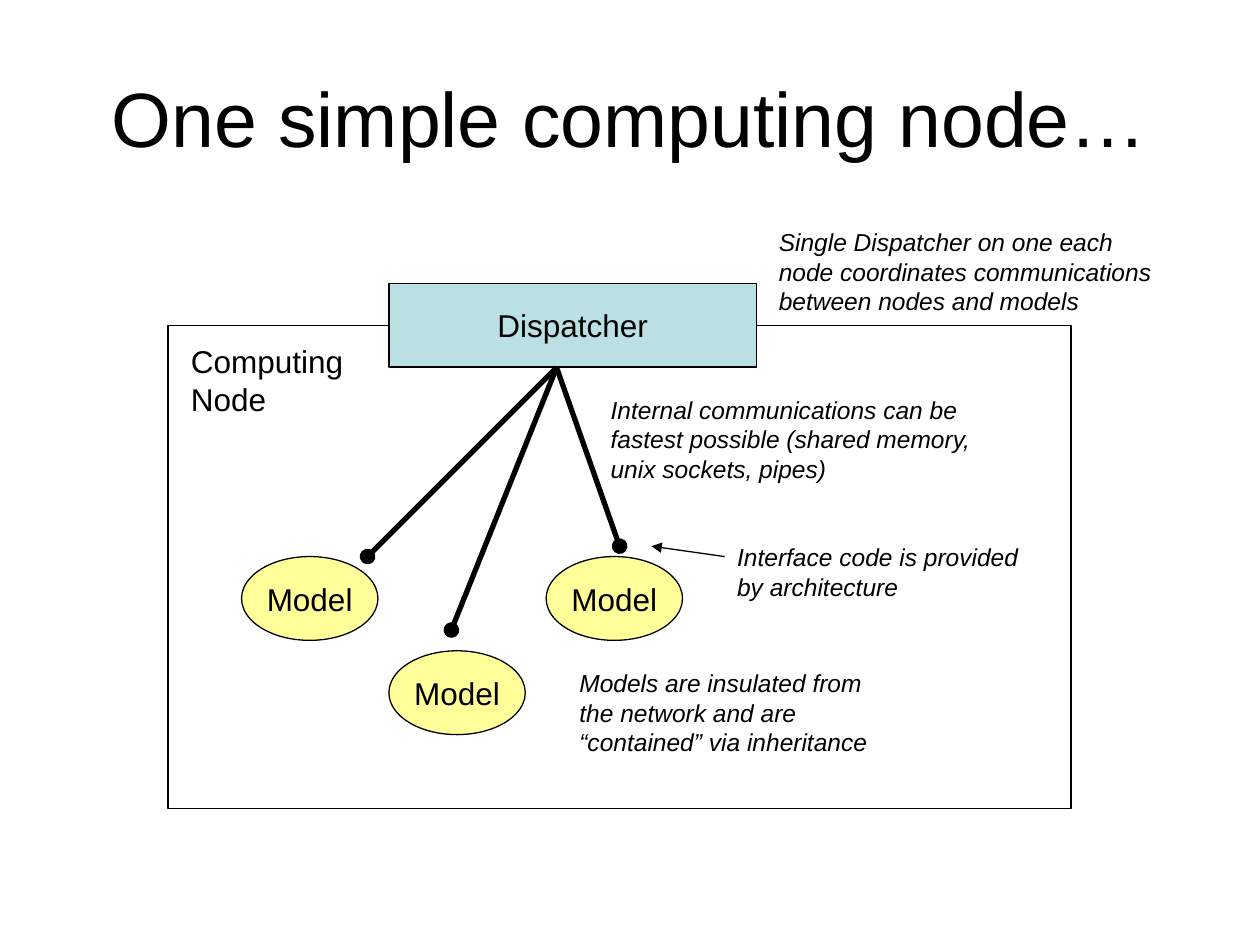
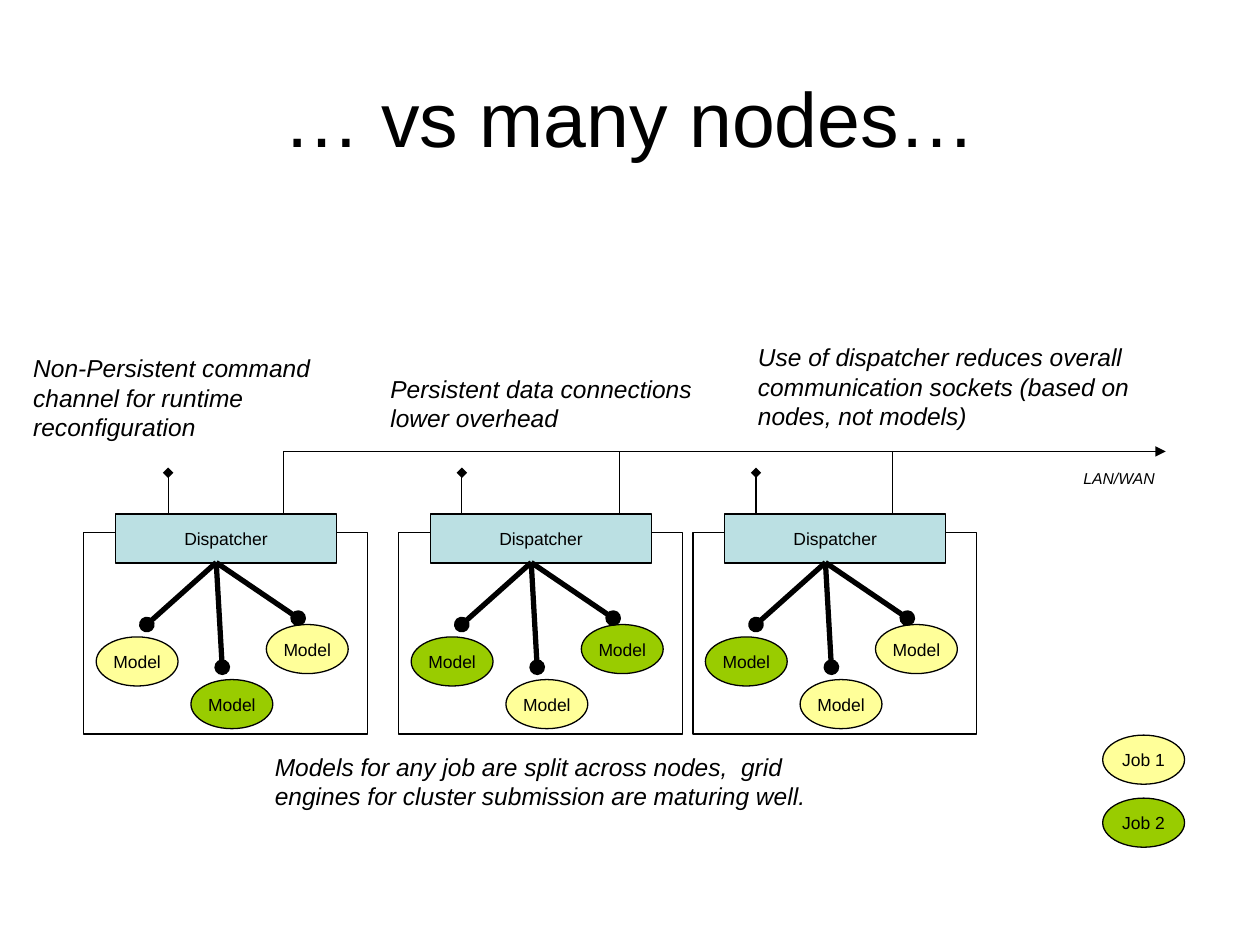
from dataclasses import dataclass

from lxml import etree
from pptx import Presentation
from pptx.dml.color import RGBColor
from pptx.enum.shapes import MSO_CONNECTOR, MSO_SHAPE
from pptx.enum.text import MSO_ANCHOR, MSO_AUTO_SIZE, PP_ALIGN
from pptx.oxml.ns import qn
from pptx.util import Cm, Pt

RECT, OVAL = MSO_SHAPE.RECTANGLE, MSO_SHAPE.OVAL
STRAIGHT = MSO_CONNECTOR.STRAIGHT
LEFT, CENTER = PP_ALIGN.LEFT, PP_ALIGN.CENTER
MIDDLE, TOP = MSO_ANCHOR.MIDDLE, MSO_ANCHOR.TOP
FIT_SHAPE, NO_FIT = MSO_AUTO_SIZE.SHAPE_TO_FIT_TEXT, MSO_AUTO_SIZE.NONE

FONT = "Arial"
INK, PAPER = "000000", "FFFFFF"
DISPATCHER_FILL = "BBE0E3"
JOB_1, JOB_2 = "FFFF99", "99CC00"
TITLE_ONLY = 5
THIN, THICK = 0.75, 3


@dataclass
class NodeLayout:
    """Lengths in cm; places are offsets from the node frame's top left corner."""
    frame: tuple
    dispatcher_at: tuple
    dispatcher: tuple
    hub: tuple
    model: tuple
    models_at: tuple
    links_to: tuple
    text_size: int


LARGE_NODE = NodeLayout(
    frame=(18.2, 9.74),
    dispatcher_at=(4.45, -0.85), dispatcher=(7.41, 1.69), hub=(7.83, 0.85),
    model=(2.75, 1.69),
    models_at=((1.48, 4.66), (4.45, 6.56), (7.62, 4.66)),
    links_to=((4.02, 4.66), (5.71, 6.14), (9.1, 4.45)),
    text_size=18)

SMALL_NODE = NodeLayout(
    frame=(5.72, 4.07),
    dispatcher_at=(0.64, -0.37), dispatcher=(4.45, 0.99), hub=(2.67, 0.61),
    model=(1.65, 0.99),
    models_at=((0.25, 2.11), (2.16, 2.97), (3.68, 1.86)),
    links_to=((1.27, 1.86), (2.79, 2.72), (4.32, 1.73)),
    text_size=10)


def color(hex_code):
    return RGBColor.from_string(hex_code)


def write(frame, text, size, align=LEFT, anchor=TOP, wrap=True, italic=False):
    frame.word_wrap = wrap
    frame.vertical_anchor = anchor
    frame.margin_left = frame.margin_right = Cm(0.25)
    frame.margin_top = frame.margin_bottom = Cm(0.13)
    for number, line in enumerate(text.split("\n")):
        paragraph = frame.add_paragraph() if number else frame.paragraphs[0]
        paragraph.alignment = align
        run = paragraph.add_run()
        run.text = line
        run.font.name = FONT
        run.font.size = Pt(size)
        run.font.italic = italic
        run.font.color.rgb = color(INK)


def add_titled_slide(deck, title):
    slide = deck.slides.add_slide(deck.slide_layouts[TITLE_ONLY])
    heading = slide.shapes.title
    heading.left, heading.top = Cm(1.27), Cm(0.76)
    heading.width, heading.height = Cm(22.86), Cm(3.18)
    write(heading.text_frame, title, 44, CENTER, MIDDLE)
    heading.text_frame.auto_size = NO_FIT
    return slide


def add_box(shapes, kind, at, size, fill, label="", text_size=10):
    """Add an outlined shape with an optional centred label."""
    box = shapes.add_shape(kind, *map(Cm, at + size))
    box.shadow.inherit = False
    box.fill.solid()
    box.fill.fore_color.rgb = color(fill)
    box.line.color.rgb = color(INK)
    box.line.width = Pt(THIN)
    if label:
        write(box.text_frame, label, text_size, CENTER, MIDDLE, wrap=False)


def add_text(shapes, text, at, size, text_size=14, wrap=True, italic=True):
    note = shapes.add_textbox(*map(Cm, at + size))
    write(note.text_frame, text, text_size, wrap=wrap, italic=italic)
    note.text_frame.auto_size = FIT_SHAPE


def add_line(shapes, start, end, width=THIN, tip=None):
    """Add a straight line; tip is the kind of arrowhead at its end."""
    line = shapes.add_connector(STRAIGHT, *map(Cm, start + end))
    line.line.color.rgb = color(INK)
    line.line.width = Pt(width)
    properties = line.element.spPr
    if tip:
        outline = properties.find(qn("a:ln"))
        etree.SubElement(outline, qn("a:tailEnd"), type=tip)
    etree.SubElement(properties, qn("a:effectLst"))


def add_node(shapes, layout, corner, model_fills):
    """Add a computing node: frame, dispatcher, models and their links."""
    def place(offset):
        return corner[0] + offset[0], corner[1] + offset[1]

    add_box(shapes, RECT, corner, layout.frame, PAPER)
    add_box(shapes, RECT, place(layout.dispatcher_at), layout.dispatcher,
            DISPATCHER_FILL, "Dispatcher", layout.text_size)
    for offset, fill in zip(layout.models_at, model_fills):
        add_box(shapes, OVAL, place(offset), layout.model, fill,
                "Model", layout.text_size)
    for offset in layout.links_to:
        add_line(shapes, place(layout.hub), place(offset), THICK, "oval")


def build_single_node(deck):
    shapes = add_titled_slide(deck, "One simple computing node…").shapes
    add_node(shapes, LARGE_NODE, (3.39, 6.56), (JOB_1, JOB_1, JOB_1))
    add_text(shapes, "Computing\nNode", (3.6, 6.77), (3.58, 1.78), 18,
             wrap=False, italic=False)
    add_line(shapes, (14.61, 11.22), (13.13, 11.01), tip="triangle")
    notes = (
        ("Models are insulated from the network and are “contained” via inheritance",
         (11.43, 13.34), (6.4, 2.03)),
        ("Single Dispatcher on one each node coordinates communications "
         "between nodes and models", (15.45, 4.45), (8.46, 2.03)),
        ("Internal communications can be fastest possible "
         "(shared memory, unix sockets, pipes)", (12.06, 7.83), (8.26, 2.03)),
        ("Interface code is provided by architecture",
         (14.61, 10.8), (6.4, 1.45)),
    )
    for note in notes:
        add_text(shapes, *note)


def build_many_nodes(deck):
    shapes = add_titled_slide(deck, "… vs many nodes…").shapes
    frame_top, dispatcher_top, network_y, command_y = 10.73, 10.36, 9.1, 9.53

    # frame left, network tap x, command channel x, job of each model
    nodes = (
        (1.69, 5.71, 3.39, (JOB_1, JOB_2, JOB_1)),
        (8.04, 12.49, 9.31, (JOB_2, JOB_1, JOB_2)),
        (13.97, 17.99, 15.24, (JOB_2, JOB_1, JOB_1)),
    )
    for left, tap_x, command_x, model_fills in nodes:
        node = shapes.add_group_shape()
        add_node(node.shapes, SMALL_NODE, (left, frame_top), model_fills)
        add_line(shapes, (tap_x, dispatcher_top), (tap_x, network_y))
        add_line(shapes, (command_x, dispatcher_top), (command_x, command_y),
                 tip="diamond")
    add_line(shapes, (nodes[0][1], network_y), (23.5, network_y), tip="triangle")
    add_text(shapes, "LAN/WAN", (21.59, 9.31), (2.12, 0.64), 9)

    notes = (
        ("Non-Persistent command channel for runtime reconfiguration",
         (0.42, 6.99), (6.14, 2.03)),
        ("Persistent data connections lower overhead",
         (7.62, 7.41), (6.77, 1.45)),
        ("Use of dispatcher reduces overall communication sockets "
         "(based on nodes, not models)", (15.03, 6.77), (8.47, 2.03)),
        ("Models for any job are split across nodes,  grid engines "
         "for cluster submission are maturing well.", (5.29, 15.03), (12.28, 1.45)),
    )
    for note in notes:
        add_text(shapes, *note)

    for row, (job, fill) in enumerate((("Job 1", JOB_1), ("Job 2", JOB_2))):
        add_box(shapes, OVAL, (22.23, 14.82 + row * 1.27), SMALL_NODE.model,
                fill, job)


def main():
    deck = Presentation()
    deck.slide_width, deck.slide_height = Cm(25.4), Cm(19.05)
    build_single_node(deck)
    build_many_nodes(deck)
    deck.save("out.pptx")


if __name__ == "__main__":
    main()
